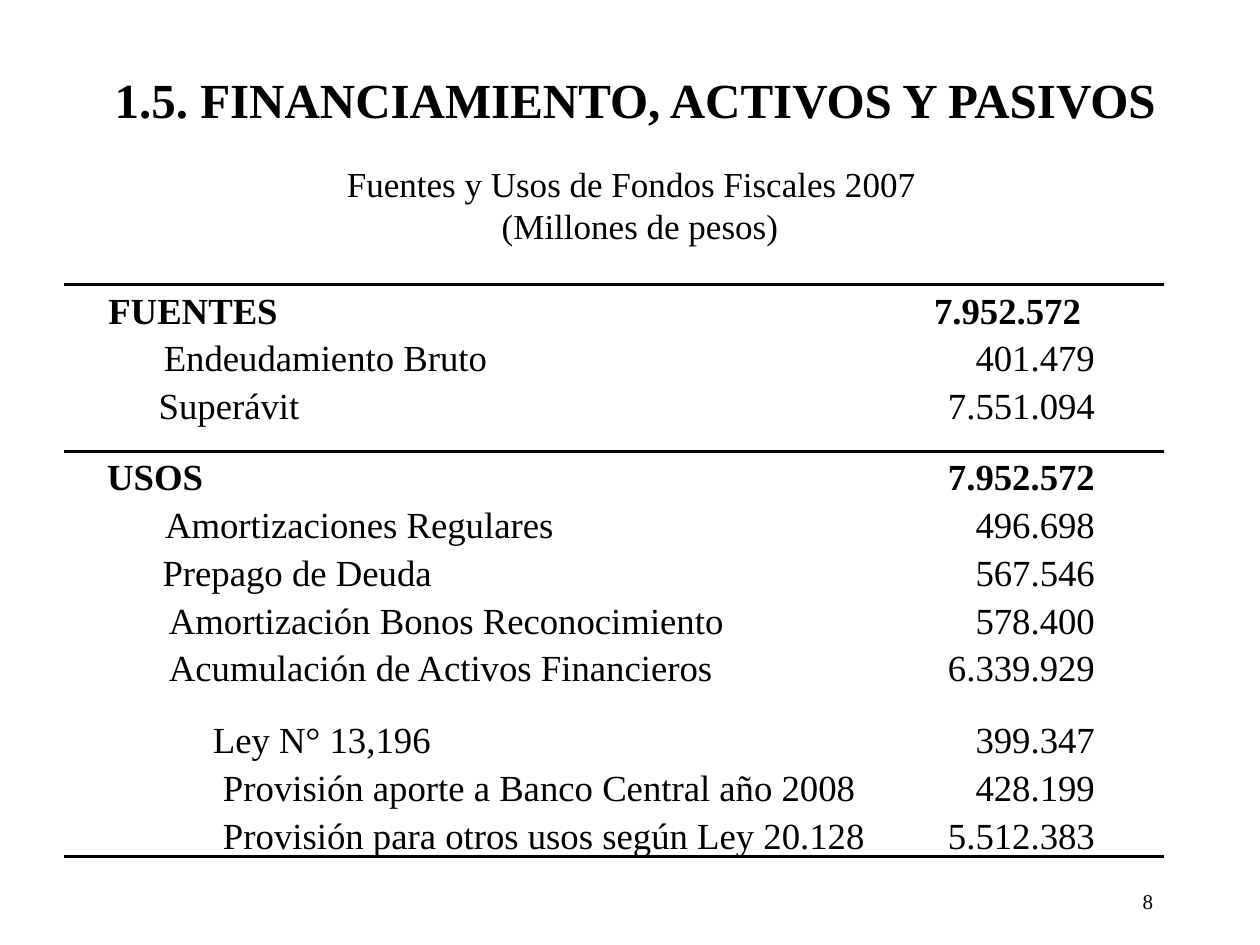
from pptx import Presentation
from pptx.dml.color import RGBColor
from pptx.enum.shapes import MSO_CONNECTOR
from pptx.enum.text import MSO_ANCHOR, MSO_AUTO_SIZE, PP_ALIGN
from pptx.oxml.ns import qn
from pptx.util import Inches, Pt
from lxml.etree import SubElement

BLACK = RGBColor(0, 0, 0)
FONT = "Times New Roman"

# Content
HEAD = "1.5. FINANCIAMIENTO, ACTIVOS Y PASIVOS"
TITLE = "Fuentes y Usos de Fondos Fiscales 2007 \v (Millones de pesos)"
PAGE = "8"

# Blocks: top, then rows of label, label left, value, value right
BLOCKS = [
    (2.28, [
        ("FUENTES", 0.86, "7.952.572", 8.58),
        ("Endeudamiento Bruto", 1.3, "401.479", 8.69),
        ("Superávit", 1.26, "7.551.094", 8.69),
    ]),
    (3.6, [
        ("USOS", 0.85, "7.952.572", 8.69),
        ("Amortizaciones Regulares", 1.31, "496.698", 8.69),
        ("Prepago de Deuda", 1.29, "567.546", 8.69),
        ("Amortización Bonos Reconocimiento", 1.34, "578.400", 8.69),
        ("Acumulación de Activos Financieros", 1.34, "6.339.929", 8.69),
    ]),
    (5.69, [
        ("Ley N° 13,196", 1.69, "399.347", 8.69),
        ("Provisión aporte a Banco Central año 2008", 1.77, "428.199", 8.69),
        ("Provisión para otros usos según Ley 20.128", 1.77, "5.512.383", 8.69),
    ]),
]
TOTALS = ("FUENTES", "USOS")
RULES = [2.26, 3.58, 6.8]
STEP, ROW = 0.38, 0.35
SPLIT, VALUE = 7.1, 1.3  # right edge of labels, width of values


def style(frame, size, align, bold=False):
    frame.word_wrap = True
    for par in frame.paragraphs:
        par.alignment = align
        font = par.font
        font.name, font.size, font.bold = FONT, Pt(size), bold
        font.color.rgb = BLACK


def add_text(slide, text, box, size, align, bold=False, inset=None):
    frame = slide.shapes.add_textbox(*map(Inches, box)).text_frame
    frame.text = text
    if inset is not None:
        frame.margin_left = frame.margin_right = Inches(inset)
        frame.margin_top = frame.margin_bottom = Inches(inset)
    style(frame, size, align, bold)


def add_rule(slide, top):
    line = slide.shapes.add_connector(
        MSO_CONNECTOR.STRAIGHT, Inches(0.51), Inches(top), Inches(9.24), Inches(top))
    line.line.color.rgb = BLACK
    line.line.width = Pt(1.75)
    SubElement(line._element.spPr, qn("a:effectLst"))


def main():
    deck = Presentation()
    deck.slide_width, deck.slide_height = Inches(10), Inches(7.5)
    slide = deck.slides.add_slide(deck.slide_layouts[5])

    # Titles
    title = slide.shapes.title
    title.left, title.top = Inches(0.92), Inches(1.25)
    title.width, title.height = Inches(8.25), Inches(0.75)
    frame = title.text_frame
    frame.text = TITLE
    frame.auto_size = MSO_AUTO_SIZE.NONE
    frame.vertical_anchor = MSO_ANCHOR.MIDDLE
    style(frame, 20, PP_ALIGN.CENTER)
    add_text(slide, HEAD, (0.5, 0.5, 9.08, 0.57), 28, PP_ALIGN.CENTER, True)

    # Rows of sources and uses
    for start, rows in BLOCKS:
        for i, (label, left, value, right) in enumerate(rows):
            top, bold = start + i * STEP, label in TOTALS
            add_text(slide, label, (left, top, SPLIT - left, ROW),
                     21, PP_ALIGN.LEFT, bold, 0)
            add_text(slide, value, (right - VALUE, top, VALUE, ROW),
                     21, PP_ALIGN.RIGHT, bold, 0)

    # Rules
    for top in RULES:
        add_rule(slide, top)

    # Page number
    add_text(slide, PAGE, (7.17, 7, 2.08, 0.25), 12, PP_ALIGN.RIGHT)

    deck.save("out.pptx")


if __name__ == "__main__":
    main()
